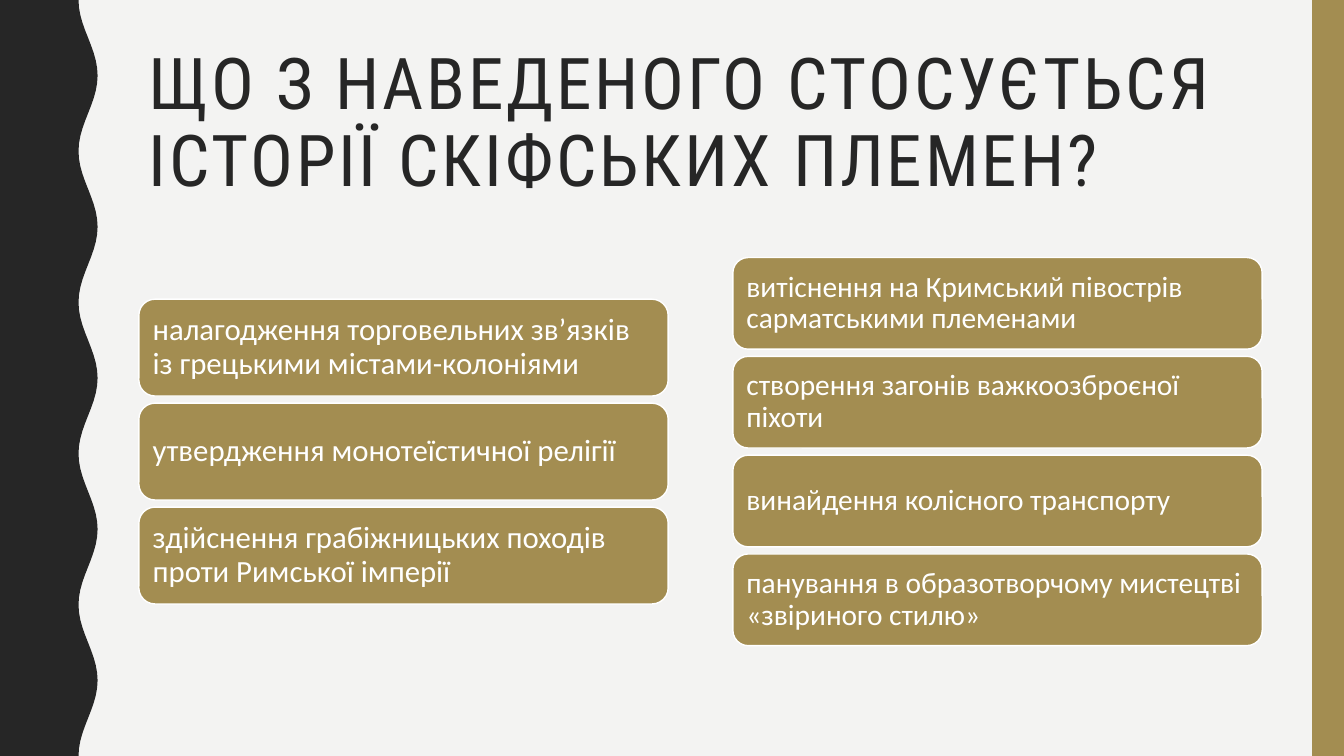
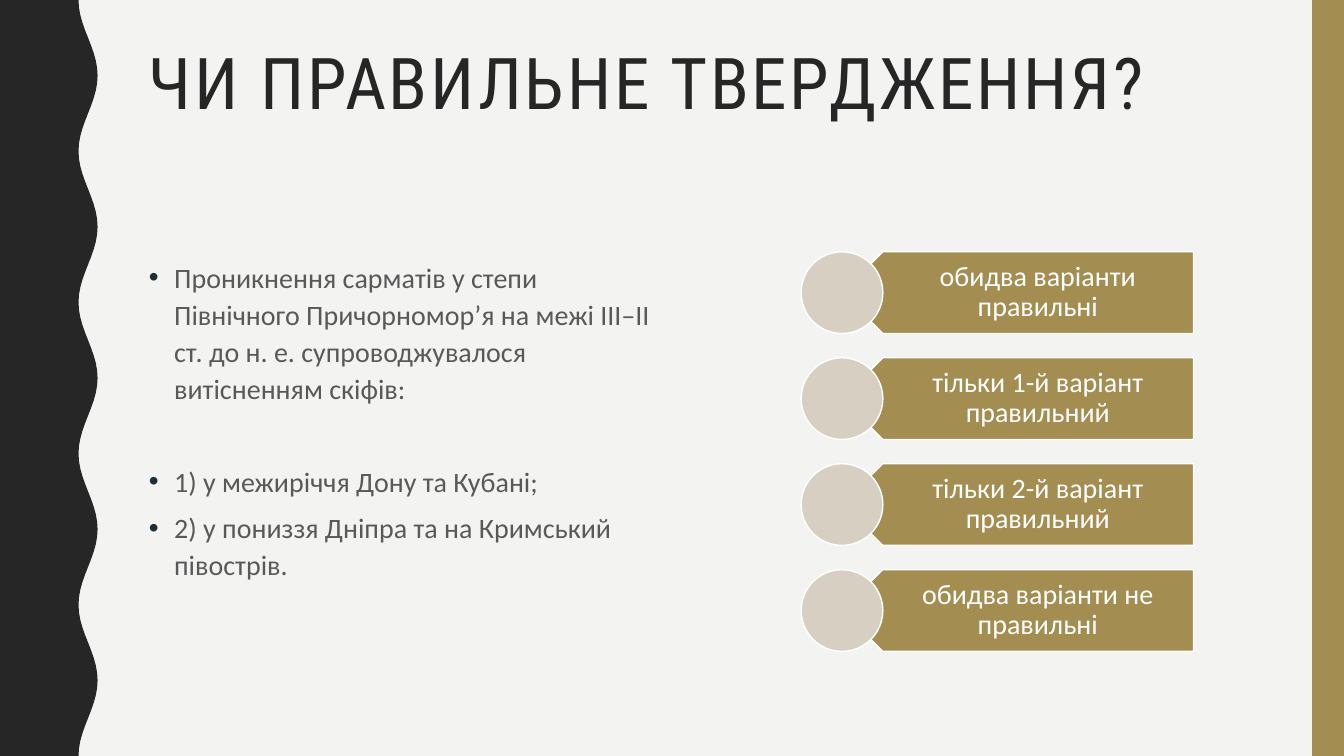
import math

import pptx
import pptx.dml.color
import pptx.enum.shapes
import pptx.enum.text
import pptx.oxml
import pptx.oxml.ns
import pptx.util
from pptx.util import Cm

SHAPE = pptx.enum.shapes.MSO_SHAPE
ALIGN = pptx.enum.text.PP_ALIGN
ANCHOR = pptx.enum.text.MSO_ANCHOR


def colour(value):
    return pptx.dml.color.RGBColor.from_string(value)


class Deck:
    """Holds the shared style and the slide being filled."""

    PAPER, INK, BODY, WHITE = "F3F3F2", "262626", "595959", "FFFFFF"
    GOLD, SAND, BULLET = "A38D51", "D7D0C2", "1B2F36"
    TITLE_FONT, TEXT_FONT = "Roboto Condensed", "Calibri"
    WIDTH, HEIGHT = 33.87, 19.05
    LEFT, COLUMN, MIDDLE = 3.5, 13.34, 11.38

    def __init__(self):
        self.presentation = pptx.Presentation()
        self.presentation.slide_width = Cm(self.WIDTH)
        self.presentation.slide_height = Cm(self.HEIGHT)
        backdrop = self.presentation.slide_master.background.fill
        backdrop.solid()
        backdrop.fore_color.rgb = colour(self.PAPER)
        self.slide = None

    def add_slide(self, title):
        blank = self.presentation.slide_layouts[6]
        self.slide = self.presentation.slides.add_slide(blank)
        self.wave()
        self.shape(SHAPE.RECTANGLE, 33.07, 0, 0.8, self.HEIGHT, self.GOLD)
        self.title(title)

    def paint(self, shape, fill, outline=None):
        shape.shadow.inherit = False
        shape.fill.solid()
        shape.fill.fore_color.rgb = colour(fill)
        if outline:
            shape.line.color.rgb = colour(outline)
            shape.line.width = pptx.util.Pt(1)
        else:
            shape.line.fill.background()

    def shape(self, kind, left, top, width, height, fill, outline=None):
        shape = self.slide.shapes.add_shape(
            kind, Cm(left), Cm(top), Cm(width), Cm(height))
        self.paint(shape, fill, outline)
        return shape

    def wave(self, centre=2.22, swing=0.24, crests=5, steps=20):
        count = crests * steps
        edge = [(Cm(centre - swing * math.cos(math.tau * step / steps)),
                 Cm(self.HEIGHT * step / count)) for step in range(count + 1)]
        outline = self.slide.shapes.build_freeform(0, 0)
        outline.add_line_segments(edge + [(0, Cm(self.HEIGHT))], close=True)
        self.paint(outline.convert_to_shape(), self.INK)

    def format(self, paragraph, size, ink, font=TEXT_FONT, spacing=0.9,
               align=ALIGN.LEFT):
        paragraph.alignment = align
        paragraph.line_spacing = spacing
        for run in paragraph.runs:
            run.font.size = pptx.util.Pt(size)
            run.font.name = font
            run.font.color.rgb = colour(ink)

    def text_box(self, left, top, width, height):
        frame = self.slide.shapes.add_textbox(
            Cm(left), Cm(top), Cm(width), Cm(height)).text_frame
        frame.word_wrap = True
        return frame

    def title(self, text):
        frame = self.text_box(self.LEFT, 1.07, 28.27, 4.14)
        frame.text = text
        heading = frame.paragraphs[0]
        self.format(heading, 51, self.INK, self.TITLE_FONT)
        heading.runs[0].font._element.set("spc", "200")

    def label(self, shape, text, size, insets, align=ALIGN.LEFT):
        frame = shape.text_frame
        frame.word_wrap = True
        frame.vertical_anchor = ANCHOR.MIDDLE
        (frame.margin_left, frame.margin_top,
         frame.margin_right, frame.margin_bottom) = map(Cm, insets)
        frame.text = text
        self.format(frame.paragraphs[0], size, self.WHITE, align=align)

    def stack(self, texts, height, gap):
        total = len(texts) * (height + gap) - gap
        for row, text in enumerate(texts):
            yield self.MIDDLE - total / 2 + row * (height + gap), text

    def cards(self, left, height, size, texts):
        for top, text in self.stack(texts, height, 0.18):
            card = self.shape(SHAPE.ROUNDED_RECTANGLE, left, top,
                              self.COLUMN, height, self.GOLD, self.WHITE)
            self.label(card, text, size, [0.23] * 4)

    def answers(self, left, height, texts):
        for top, text in self.stack(texts, height, 0.61):
            banner = self.shape(SHAPE.PENTAGON, left + height / 2, top,
                                8.86, height, self.GOLD, self.WHITE)
            banner.element.spPr.xfrm.set("flipH", "1")
            self.label(banner, text, 20, (0.91, 0.2, 0.41, 0.2), ALIGN.CENTER)
            self.shape(SHAPE.OVAL, left, top, height, height,
                       self.SAND, self.WHITE)

    def bullets(self, items):
        frame = self.text_box(self.LEFT, 6.35, self.COLUMN, 10.06)
        for number, (text, space) in enumerate(items):
            item = frame.add_paragraph() if number else frame.paragraphs[0]
            item.text = text
            properties = item._p.get_or_add_pPr()
            properties.set("marL", str(Cm(0.64)))
            properties.set("indent", str(-Cm(0.64)))
            namespace = pptx.oxml.ns.nsdecls("a")
            for mark in (
                    f'<a:buClr {namespace}><a:srgbClr val="{self.BULLET}"/></a:buClr>',
                    f'<a:buFont {namespace} typeface="Arial"/>',
                    f'<a:buChar {namespace} char="•"/>'):
                properties.append(pptx.oxml.parse_xml(mark))
            self.format(item, 20, self.BODY, spacing=1.1)
            if space:
                item.space_before = pptx.util.Pt(space)


def main():
    deck = Deck()

    deck.add_slide("ЩО З НАВЕДЕНОГО СТОСУЄТЬСЯ ІСТОРІЇ СКІФСЬКИХ ПЛЕМЕН?")
    deck.cards(deck.LEFT, 2.44, 22, [
        "налагодження торговельних зв’язків із грецькими містами-колоніями",
        "утвердження монотеїстичної релігії",
        "здійснення грабіжницьких походів проти Римської імперії",
    ])
    deck.cards(18.47, 2.31, 21, [
        "витіснення на Кримський півострів сарматськими племенами",
        "створення загонів важкоозброєної піхоти",
        "винайдення колісного транспорту",
        "панування в образотворчому мистецтві «звіриного стилю»",
    ])

    deck.add_slide("ЧИ ПРАВИЛЬНЕ ТВЕРДЖЕННЯ?")
    deck.bullets([
        ("Проникнення сарматів у степи Північного Причорномор’я на межі "
         "III–ІІ ст. до н. е. супроводжувалося витісненням скіфів:", 0),
        ("1) у межиріччя Дону та Кубані;", 40),
        ("2) у пониззя Дніпра та на Кримський півострів.", 7),
    ])
    deck.answers(20.19, 2.06, [
        "обидва варіанти правильні",
        "тільки 1-й варіант правильний",
        "тільки 2-й варіант правильний",
        "обидва варіанти не правильні",
    ])

    deck.presentation.save("out.pptx")


if __name__ == "__main__":
    main()
